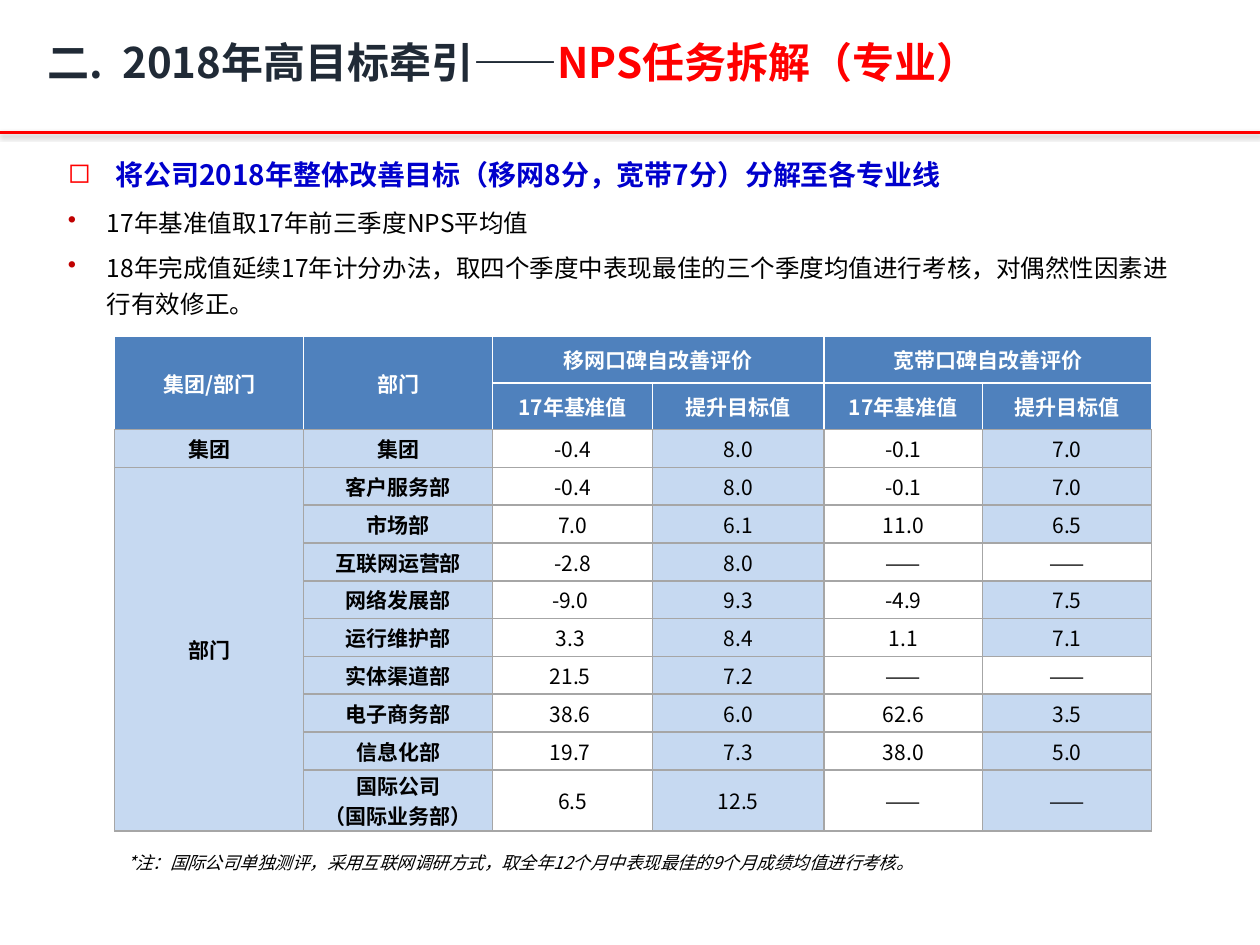
from lxml.etree import SubElement
from pptx import Presentation
from pptx.dml.color import RGBColor
from pptx.enum.shapes import MSO_CONNECTOR
from pptx.enum.text import MSO_ANCHOR, PP_ALIGN
from pptx.oxml import parse_xml
from pptx.oxml.ns import nsdecls, qn
from pptx.util import Inches, Pt

FONT = "Noto Sans CJK SC"
BLUE, PALE, GREY, WHITE, BLACK, RED = "4F81BD", "C6D9F1", "A6A6A6", "FFFFFF", "000000", "FF0000"
DASH = "——"

TITLE = [("二.  2018年高目标牵引——", "202A36"), ("NPS任务拆解（专业）", RED)]
POINTS = [
    ("将公司2018年整体改善目标（移网8分，宽带7分）分解至各专业线", 16, "0000CC", True, 1.5, 0.38, "◻", RED),
    ("17年基准值取17年前三季度NPS平均值", 14, BLACK, False, 1.2, 0.31, "•", "C00000"),
    ("18年完成值延续17年计分办法，取四个季度中表现最佳的三个季度均值进行考核，对偶然性因素进行有效修正。",
     14, BLACK, False, 1.2, 0.31, "•", "C00000"),
]
NOTE = "*注：国际公司单独测评，采用互联网调研方式，取全年12个月中表现最佳的9个月成绩均值进行考核。"
ROWS = [
    ("集团/部门", "部门", "移网口碑自改善评价", "", "宽带口碑自改善评价", ""),
    ("", "", "17年基准值", "提升目标值", "17年基准值", "提升目标值"),
    ("集团", "集团", "-0.4", "8.0", "-0.1", "7.0"),
    ("部门", "客户服务部", "-0.4", "8.0", "-0.1", "7.0"),
    ("", "市场部", "7.0", "6.1", "11.0", "6.5"),
    ("", "互联网运营部", "-2.8", "8.0", DASH, DASH),
    ("", "网络发展部", "-9.0 ", "9.3", "-4.9", "7.5"),
    ("", "运行维护部", "3.3 ", "8.4", "1.1", "7.1"),
    ("", "实体渠道部", "21.5 ", "7.2", DASH, DASH),
    ("", "电子商务部", "38.6 ", "6.0", "62.6", "3.5"),
    ("", "信息化部", "19.7 ", "7.3", "38.0", "5.0"),
    ("", "国际公司\n（国际业务部）", "6.5", "12.5", DASH, DASH),
]
COLUMN_WIDTHS = [1.5, 1.5, 1.27, 1.36, 1.26, 1.34]
ROW_HEIGHTS = [0.37] * 2 + [0.3] * 9 + [0.42]
HEADER_ROWS = 2
LAST_ROW = len(ROWS) - 1
MERGES = [((0, 0), (1, 0)), ((0, 1), (1, 1)), ((0, 2), (0, 3)), ((0, 4), (0, 5)), ((3, 0), (LAST_ROW, 0))]


def rgb(value):
    return RGBColor.from_string(value)


def set_font(font, size, color, bold=False, italic=False):
    font.size, font.bold, font.italic = Pt(size), bold, italic
    font.color.rgb = rgb(color)
    font.name = FONT
    font._rPr.find(qn("a:latin")).addnext(parse_xml(f'<a:ea {nsdecls("a")} typeface="{FONT}"/>'))


def add_text_box(page, left, top, width, height):
    box = page.shapes.add_textbox(Inches(left), Inches(top), Inches(width), Inches(height))
    box.text_frame.word_wrap = True
    return box.text_frame


def set_indent(para, indent):
    properties = para._p.get_or_add_pPr()
    properties.set("marL", str(Inches(indent)))
    properties.set("indent", str(-Inches(indent)))
    return properties


def add_bullet(properties, character, color):
    bullet_color = parse_xml(f'<a:buClr {nsdecls("a")}><a:srgbClr val="{color}"/></a:buClr>')
    bullet = parse_xml(f'<a:buChar {nsdecls("a")} char="{character}"/>')
    properties.find(qn("a:defRPr")).addprevious(bullet_color)
    bullet_color.addnext(bullet)


def set_borders(cell, colors):
    properties = cell._tc.get_or_add_tcPr()
    for index, (side, color) in enumerate(zip("LRTB", colors)):
        properties.insert(index, parse_xml(
            f'<a:ln{side} {nsdecls("a")} w="{Pt(1)}"><a:solidFill><a:srgbClr val="{color}"/>'
            f'</a:solidFill></a:ln{side}>'))


def cell_fill(row, column):
    if row < HEADER_ROWS:
        return BLUE
    if column in (2, 4):
        return None
    if column == 5 and ROWS[row][column] == DASH and row != LAST_ROW:
        return None
    return PALE


def fill_cell(cell, row, column):
    header = row < HEADER_ROWS
    cell.margin_left = cell.margin_right = cell.margin_top = cell.margin_bottom = 0
    cell.vertical_anchor = MSO_ANCHOR.MIDDLE
    cell.text_frame.text = ROWS[row][column]
    for para in cell.text_frame.paragraphs:
        para.alignment = PP_ALIGN.CENTER
        set_font(para.font, 12, WHITE if header else BLACK, header or column < 2)
    color = cell_fill(row, column)
    if color:
        cell.fill.solid()
        cell.fill.fore_color.rgb = rgb(color)
    else:
        cell.fill.background()
    edge = WHITE if header else GREY
    top = GREY if row >= HEADER_ROWS else WHITE
    bottom = WHITE if row == 0 else GREY
    set_borders(cell, (edge, edge, top, bottom))


def add_rule(page):
    rule = page.shapes.add_connector(MSO_CONNECTOR.STRAIGHT, 0, Inches(1.05), Inches(10), Inches(1.05))
    rule.line.color.rgb = rgb(RED)
    rule.line.width = Pt(1.5)
    effects = SubElement(rule._element.spPr, qn("a:effectLst"))
    effects.append(parse_xml(
        f'<a:outerShdw {nsdecls("a")} blurRad="{Pt(3)}" dist="{Pt(1.6)}" dir="5400000" rotWithShape="0">'
        f'<a:srgbClr val="{BLACK}"><a:alpha val="38000"/></a:srgbClr></a:outerShdw>'))


def add_score_table(page):
    frame = page.shapes.add_table(len(ROWS), len(COLUMN_WIDTHS), Inches(0.91), Inches(2.67),
                                  Inches(sum(COLUMN_WIDTHS)), Inches(sum(ROW_HEIGHTS)))
    table = frame.table
    table.horz_banding = table.first_row = False
    for column, width in zip(table.columns, COLUMN_WIDTHS):
        column.width = Inches(width)
    for row, height in zip(table.rows, ROW_HEIGHTS):
        row.height = Inches(height)
    for row in range(len(ROWS)):
        for column in range(len(COLUMN_WIDTHS)):
            fill_cell(table.cell(row, column), row, column)
    for first, last in MERGES:
        table.cell(*first).merge(table.cell(*last))


def add_title(page):
    frame = add_text_box(page, 0.28, 0.16, 7.83, 0.71)
    frame.vertical_anchor = MSO_ANCHOR.MIDDLE
    para = frame.paragraphs[0]
    para.line_spacing = 0.9
    set_indent(para, 0.4)
    for text, color in TITLE:
        span = para.add_run()
        span.text = text
        set_font(span.font, 24, color, True)


def add_points(page):
    frame = add_text_box(page, 0.44, 1.07, 9.05, 1.5)
    for index, (text, size, color, bold, spacing, indent, bullet, bullet_color) in enumerate(POINTS):
        para = frame.add_paragraph() if index else frame.paragraphs[0]
        para.text = text
        para.line_spacing = spacing
        para.space_before = Pt(6)
        set_font(para.font, size, color, bold)
        add_bullet(set_indent(para, indent), bullet, bullet_color)


def add_note(page):
    para = add_text_box(page, 0.91, 6.71, 8.11, 0.27).paragraphs[0]
    para.text = NOTE
    set_font(para.font, 10, BLACK, italic=True)


def main():
    deck = Presentation()
    deck.slide_width, deck.slide_height = Inches(10), Inches(7.5)
    page = deck.slides.add_slide(deck.slide_layouts[6])
    add_rule(page)
    add_score_table(page)
    add_title(page)
    add_points(page)
    add_note(page)
    deck.save("out.pptx")


if __name__ == "__main__":
    main()
